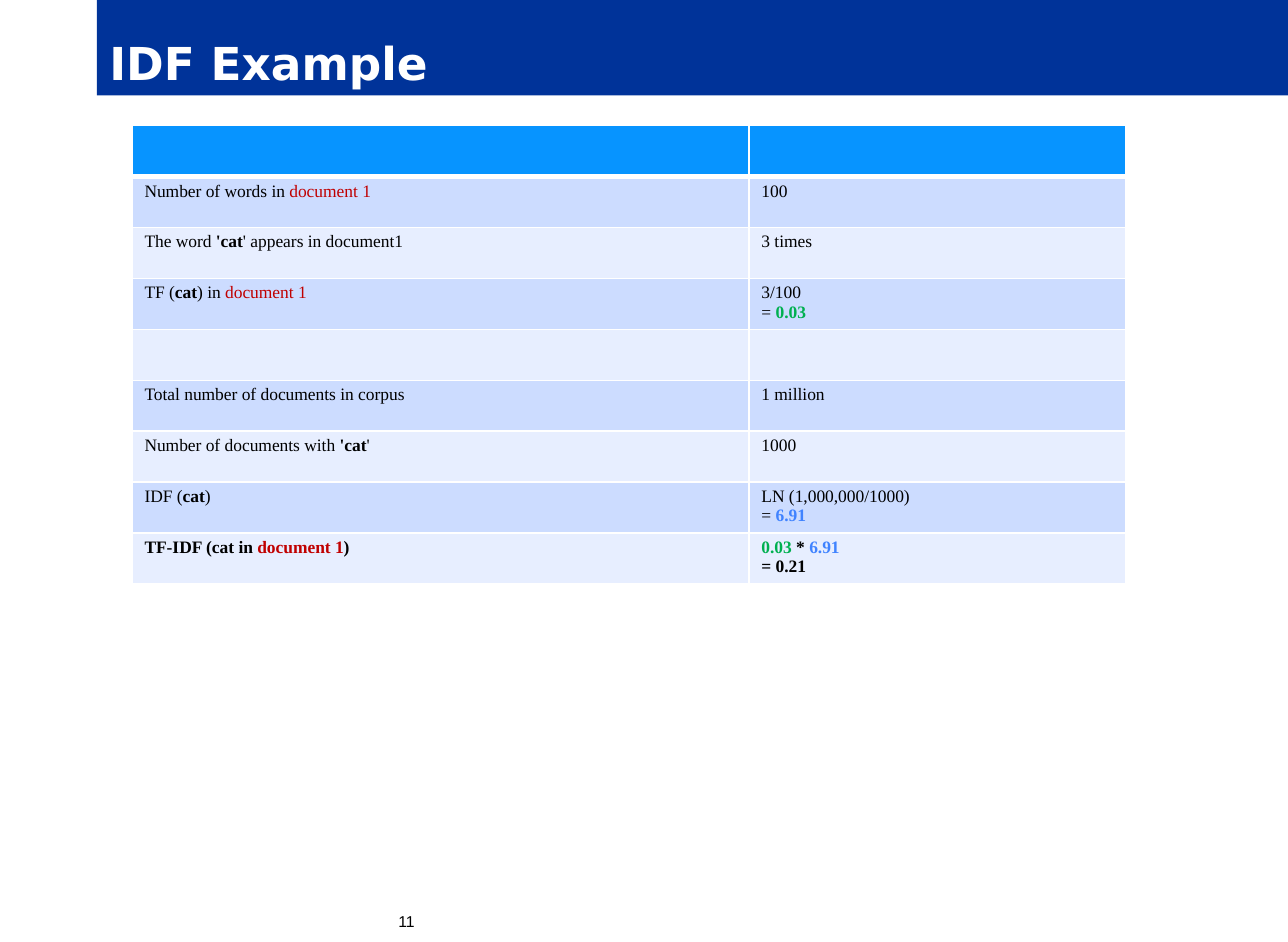
import pptx
import pptx.dml.color
import pptx.enum.text
import pptx.oxml.ns
import pptx.util
from dataclasses import dataclass
from lxml import etree


@dataclass(frozen=True)
class Theme:
    navy: str = "003399"
    header: str = "0794FF"
    bands: tuple = ("CCDCFF", "E7EEFF")
    white: str = "FFFFFF"
    black: str = "000000"
    red: str = "C00000"
    green: str = "00B050"
    blue: str = "4083FF"
    title_size: int = 26
    table_size: int = 10
    number_size: int = 9


theme = Theme()
inches = pptx.util.Inches


def style_run(run, font, size, color, bold=False):
    run.font.name = font
    run.font.size = pptx.util.Pt(size)
    run.font.bold = bold
    run.font.color.rgb = pptx.dml.color.RGBColor.from_string(color)


def add_border(cell, side, width):
    line = etree.SubElement(cell._tc.get_or_add_tcPr(), pptx.oxml.ns.qn(f"a:ln{side}"),
                            w=str(pptx.util.Pt(width)))
    fill = etree.SubElement(line, pptx.oxml.ns.qn("a:solidFill"))
    etree.SubElement(fill, pptx.oxml.ns.qn("a:srgbClr"), val=theme.white)


presentation = pptx.Presentation()
presentation.slide_width = inches(10.25)
presentation.slide_height = inches(7.5)
slide = presentation.slides.add_slide(presentation.slide_layouts[5])

title = slide.shapes.title
title.left, title.top = inches(0.77), 0
title.width, title.height = presentation.slide_width - title.left, inches(0.76)
title.fill.solid()
title.fill.fore_color.rgb = pptx.dml.color.RGBColor.from_string(theme.navy)
title.text_frame.text = "IDF Example"
title.text_frame.vertical_anchor = pptx.enum.text.MSO_ANCHOR.BOTTOM
title.text_frame.auto_size = pptx.enum.text.MSO_AUTO_SIZE.NONE
heading = title.text_frame.paragraphs[0]
heading.alignment = pptx.enum.text.PP_ALIGN.LEFT
style_run(heading.runs[0], "DejaVu Sans", theme.title_size, theme.white, True)

plain = (theme.black, False)
strong = (theme.black, True)
document = (theme.red, False)
frequency = (theme.green, True)
rarity = (theme.blue, True)

rows = [
    ([], []),
    ([[("Number of words in ", plain), ("document 1", document)]],
     [[("100", plain)]]),
    ([[("The word ", plain), ("'cat", strong), ("' appears in document1", plain)]],
     [[("3 times", plain)]]),
    ([[("TF (", plain), ("cat", strong), (") in ", plain), ("document 1", document)]],
     [[("3/100", plain)], [("= ", plain), ("0.03", frequency)]]),
    ([], []),
    ([[("Total number of documents in corpus", plain)]],
     [[("1 million", plain)]]),
    ([[("Number of documents with ", plain), ("'cat", strong), ("'", plain)]],
     [[("1000", plain)]]),
    ([[("IDF (", plain), ("cat", strong), (")", plain)]],
     [[("LN (1,000,000/1000)", plain)], [("= ", plain), ("6.91", rarity)]]),
    ([[("TF-IDF (cat in ", strong), ("document 1", (theme.red, True)), (")", strong)]],
     [[("0.03", frequency), (" * ", strong), ("6.91", rarity)], [("= 0.21", strong)]]),
]

column_widths = (4.91, 3)
table = slide.shapes.add_table(len(rows), len(column_widths), inches(1.05), inches(1),
                               inches(sum(column_widths)), inches(3.65)).table
table.horz_banding = False
for column, width in zip(table.columns, column_widths):
    column.width = inches(width)

for row_index, row in enumerate(rows):
    for column_index, lines in enumerate(row):
        cell = table.cell(row_index, column_index)
        cell.margin_top = inches(0.04)
        cell.margin_bottom = inches(0.03)
        for side in "LRTB":
            under_header = (row_index, side) in ((0, "B"), (1, "T"))
            add_border(cell, side, 3 if under_header else 1)
        color = theme.bands[(row_index - 1) % 2] if row_index else theme.header
        cell.fill.solid()
        cell.fill.fore_color.rgb = pptx.dml.color.RGBColor.from_string(color)
        for line_index, line in enumerate(lines):
            frame = cell.text_frame
            paragraph = frame.add_paragraph() if line_index else frame.paragraphs[0]
            for text, (color, bold) in line:
                run = paragraph.add_run()
                run.text = text
                style_run(run, "Times New Roman", theme.table_size, color, bold)

number = slide.shapes.add_textbox(inches(0.26), inches(7.26), inches(5.95), inches(0.15))
frame = number.text_frame
frame.word_wrap = True
frame.margin_left = frame.margin_right = frame.margin_top = frame.margin_bottom = 0
frame.text = "11"
frame.paragraphs[0].alignment = pptx.enum.text.PP_ALIGN.CENTER
style_run(frame.paragraphs[0].runs[0], "Arial", theme.number_size, theme.black)

presentation.save("out.pptx")
